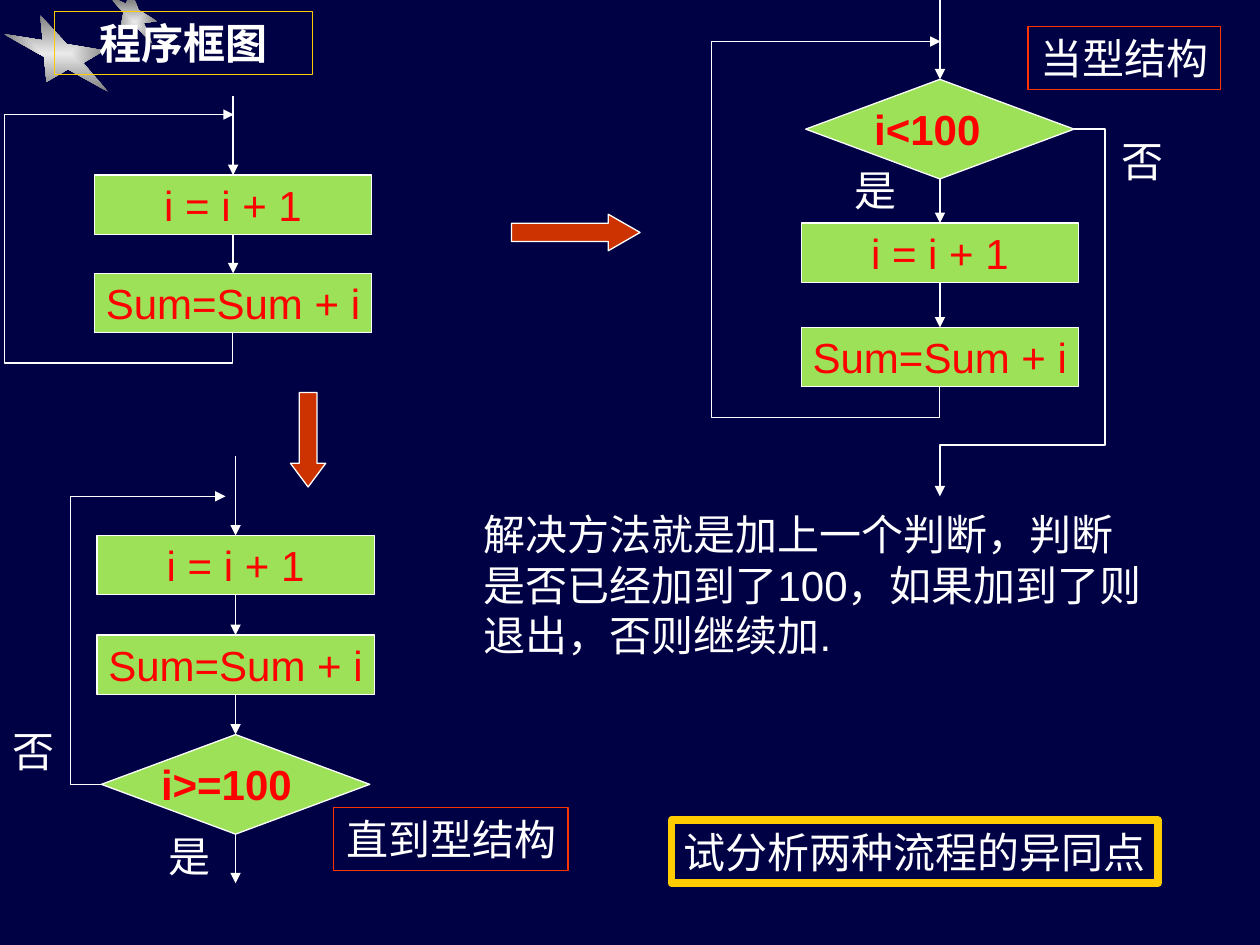
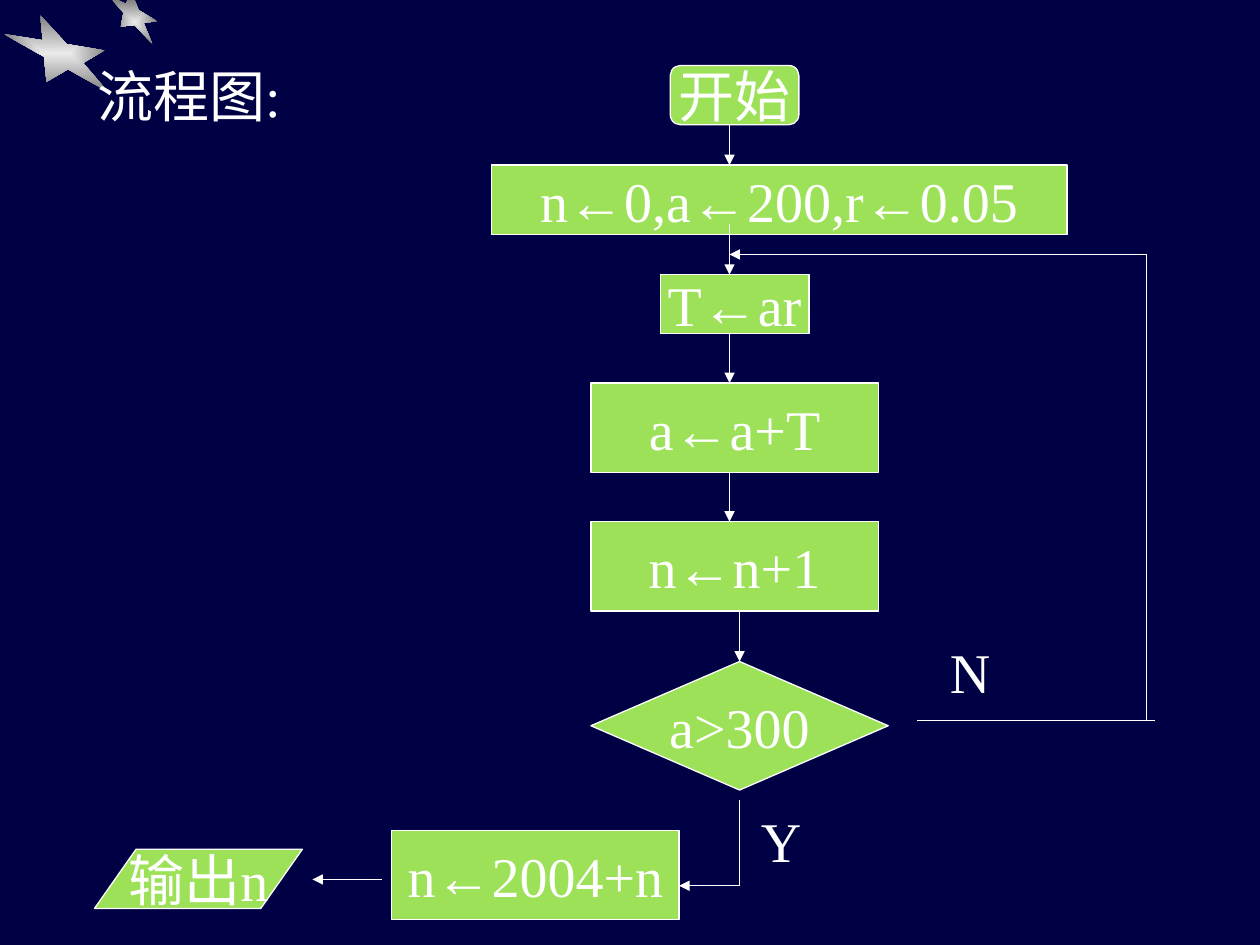
from itertools import pairwise

from lxml.etree import SubElement
from pptx import Presentation
from pptx.dml.color import RGBColor
from pptx.enum.shapes import MSO_CONNECTOR, MSO_SHAPE
from pptx.enum.text import MSO_ANCHOR, MSO_AUTO_SIZE, PP_ALIGN
from pptx.oxml import parse_xml
from pptx.oxml.ns import nsdecls, qn
from pptx.util import Inches, Pt

NAVY = RGBColor(0x00, 0x00, 0x44)
WHITE = RGBColor(0xFF, 0xFF, 0xFF)
GREEN = RGBColor(0x9C, 0xE1, 0x57)
RED = RGBColor(0xFF, 0x00, 0x00)
ORANGE = RGBColor(0xFF, 0x33, 0x00)
RUST = RGBColor(0xCC, 0x33, 0x00)
GOLD = RGBColor(0xFF, 0xCC, 0x00)
STAR_LIGHT = RGBColor(0xEA, 0xEA, 0xEA)
STAR_DARK = RGBColor(0x80, 0x80, 0x80)

SANS, SERIF = "Arial", "Times New Roman"
THIN = 0.75
STEP_W, STEP_H = 2.2, 0.47
DECISION_W, DECISION_H = 2.13, 0.79
LABEL_H = 0.5
RETURN_GAP, RETURN_DEPTH = 0.01, 1.84

STARS = (
    ((1.21, 0.35), (1.07, 0.2), (0.96, 0.21), (0.98, 0.1), (0.89, 0), (0.94, 0),
     (1, 0.03), (1.01, 0), (1.07, 0), (1.1, 0.08), (1.25, 0.17), (1.14, 0.18)),
    ((0.86, 0.73), (0.54, 0.55), (0.37, 0.65), (0.35, 0.45), (0.03, 0.27),
     (0.34, 0.32), (0.32, 0.12), (0.53, 0.35), (0.83, 0.4), (0.66, 0.5)),
)


def inches(values):
    return [Inches(v) for v in values]


def write(sp, text, size=24, font=SANS, color=WHITE, bold=False, align=PP_ALIGN.LEFT):
    p = sp.text_frame.paragraphs[0]
    p.text = text
    p.alignment = align
    for r in p.runs:
        r.font.size, r.font.name, r.font.bold = Pt(size), font, bold
        r.font.color.rgb = color


def outline(sp, color, width=THIN):
    sp.line.color.rgb = color
    sp.line.width = Pt(width)


def add_shape(s, kind, box, fill=GREEN):
    sp = s.shapes.add_shape(kind, *inches(box))
    sp.shadow.inherit = False
    sp.fill.solid()
    sp.fill.fore_color.rgb = fill
    outline(sp, WHITE)
    return sp


def add_box(s, kind, box, text, **style):
    sp = add_shape(s, kind, box)
    sp.text_frame.word_wrap = False
    sp.text_frame.vertical_anchor = MSO_ANCHOR.MIDDLE
    write(sp, text, align=PP_ALIGN.CENTER, **style)


def add_label(s, box, text, wrap=False, **style):
    sp = s.shapes.add_textbox(*inches(box))
    tf = sp.text_frame
    tf.word_wrap = wrap
    tf.auto_size = MSO_AUTO_SIZE.SHAPE_TO_FIT_TEXT if wrap else MSO_AUTO_SIZE.NONE
    if not wrap:
        tf.margin_right = 0
    write(sp, text, **style)
    return sp


def add_line(s, kind, start, end, arrow):
    line = s.shapes.add_connector(kind, *inches(start + end))
    outline(line, WHITE)
    SubElement(line._element.spPr, qn("a:effectLst"))
    if arrow:
        SubElement(line.line._get_or_add_ln(), qn("a:tailEnd"), type="triangle")
    return line


def add_route(s, *points, arrow=True):
    """Join the points with straight lines; the last one carries the arrowhead."""
    for start, end in pairwise(points):
        add_line(s, MSO_CONNECTOR.STRAIGHT, start, end, arrow and end is points[-1])


def add_elbow(s, start, end, *bends, rotation=0):
    """Add a bent arrow; bends are shares of its width and height in turn."""
    line = add_line(s, MSO_CONNECTOR.ELBOW, start, end, True)
    spPr = line._element.spPr
    spPr.find(qn("a:xfrm")).set("rot", str(rotation * 60000))
    geometry = spPr.find(qn("a:prstGeom"))
    geometry.set("prst", f"bentConnector{len(bends) + 2}")
    guides = geometry.find(qn("a:avLst"))
    for number, bend in enumerate(bends, 1):
        SubElement(guides, qn("a:gd"), name=f"adj{number}",
                   fmla=f"val {round(bend * 100000)}")


def add_return(s, cx, bottom, top, drop, rise):
    """Lead an arrow from bottom around the left side back to top."""
    half, middle = (bottom - top) / 2, (bottom + top) / 2
    add_elbow(s, (cx + half, middle + RETURN_GAP / 2),
              (cx - half, middle - RETURN_GAP / 2),
              drop, -RETURN_DEPTH / RETURN_GAP, rise, rotation=90)


def add_star(s, points):
    start, *others = [inches(pt) for pt in points]
    builder = s.shapes.build_freeform(*start)
    builder.add_line_segments(others, close=True)
    sp = builder.convert_to_shape()
    sp.shadow.inherit = False
    sp.line.fill.background()
    sp.fill.background()
    no_fill = sp._element.spPr.find(qn("a:noFill"))
    sp._element.spPr.replace(no_fill, parse_xml(
        f'<a:gradFill {nsdecls("a")}><a:gsLst>'
        f'<a:gs pos="0"><a:srgbClr val="{STAR_LIGHT}"/></a:gs>'
        f'<a:gs pos="100000"><a:srgbClr val="{STAR_DARK}"/></a:gs></a:gsLst>'
        '<a:path path="rect"><a:fillToRect l="50000" t="50000" r="50000" b="50000"/>'
        '</a:path></a:gradFill>'))


def add_slide(prs, title, box, **style):
    """Start a slide with the corner stars and its title in front of them."""
    s = prs.slides.add_slide(prs.slide_layouts[5])
    for points in STARS:
        add_star(s, points)
    sp = s.shapes.title
    s.shapes._spTree.append(sp._element)
    sp.left, sp.top, sp.width, sp.height = inches(box)
    sp.text_frame.vertical_anchor = MSO_ANCHOR.TOP
    sp.text_frame.auto_size = MSO_AUTO_SIZE.NONE
    write(sp, title, font=SERIF, **style)
    return s


def add_steps(s, cx, first, second):
    """Draw the two calculation steps, centred on cx, and the arrow between them."""
    for top, text in ((first, "i = i + 1"), (second, "Sum=Sum + i")):
        add_box(s, MSO_SHAPE.FLOWCHART_PROCESS,
                (cx - STEP_W / 2, top, STEP_W, STEP_H), text, color=RED)
    add_route(s, (cx, first + STEP_H), (cx, second))


def add_decision(s, cx, top, text, text_left, text_width):
    add_shape(s, MSO_SHAPE.FLOWCHART_DECISION,
              (cx - DECISION_W / 2, top, DECISION_W, DECISION_H))
    add_label(s, (text_left, top + 0.14, text_width, LABEL_H), text, color=RED, bold=True)


def add_endless_loop(s, cx, top):
    first, second = top + 0.63, top + 1.41
    add_steps(s, cx, first, second)
    add_route(s, (cx, top), (cx, first))
    add_return(s, cx, second + STEP_H, top + 0.15, -0.14, 1)


def add_until_loop(s, cx, top):
    first, second, test = top + 0.63, top + 1.42, top + 2.21
    middle, end = test + DECISION_H / 2, test + DECISION_H
    add_steps(s, cx, first, second)
    add_decision(s, cx, test, "i>=100", cx - 0.69, 1.24)
    add_route(s, (cx, top), (cx, first))
    add_route(s, (cx, second + STEP_H), (cx, test))
    add_route(s, (cx, end), (cx, end + 0.39))
    add_elbow(s, (cx - DECISION_W / 2, middle), (cx - 0.08, top + 0.32), -0.25, 1)
    add_label(s, (cx - 0.63, end - 0.08, 0.53, LABEL_H), "是")
    add_label(s, (cx - 1.87, test - 0.12, 0.53, LABEL_H), "否")


def add_while_loop(s, cx, top):
    test, first, second = top + 0.63, top + 1.77, top + 2.6
    middle, end = test + DECISION_H / 2, second + STEP_H
    add_steps(s, cx, first, second)
    add_decision(s, cx, test, "i<100", cx - 0.62, 1.04)
    add_route(s, (cx, top), (cx, test))
    add_route(s, (cx, test + DECISION_H), (cx, first))
    add_return(s, cx, end, top + 0.33, -0.09, 1)
    add_elbow(s, (cx + DECISION_W / 2, middle), (cx, end + 0.87), -0.23, 0.86)
    add_label(s, (cx + 1.34, middle, 0.53, LABEL_H), "否")
    add_label(s, (cx - 0.78, top + 1.26, 0.53, LABEL_H), "是")


def add_block_arrow(s, box, head, rotation=0):
    sp = add_shape(s, MSO_SHAPE.RIGHT_ARROW, box, RUST)
    sp.adjustments[1] = head
    sp.rotation = rotation


def build_loop_slide(prs):
    box = (0.43, 0.09, 2.05, LABEL_H)
    s = add_slide(prs, "程序框图", box, bold=True, align=PP_ALIGN.CENTER)
    outline(s.shapes.title, GOLD)
    add_endless_loop(s, 1.85, 0.76)
    add_until_loop(s, 1.87, 3.62)
    add_while_loop(s, 7.46, 0)
    add_block_arrow(s, (4.06, 1.7, 1.02, 0.29), 0.87)
    add_block_arrow(s, (2.07, 3.35, 0.75, 0.28), 0.67, 90)
    add_label(s, (3.74, 3.99, 5.5, 1.3),
              "解决方法就是加上一个判断，判断是否已经加到了100，如果加到了则退出，否则继续加.",
              wrap=True)
    for left, top, width, text, color, weight in (
            (5.33, 6.51, 3.86, "试分析两种流程的异同点", GOLD, 4.5),
            (2.65, 6.41, 1.86, "直到型结构", ORANGE, THIN),
            (8.16, 0.21, 1.53, "当型结构", ORANGE, THIN)):
        outline(add_label(s, (left, top, width, LABEL_H), text), color, weight)


def add_growth_flow(s, cx, top):
    """Draw the chart from start to output, with cx as the axis of its upper arrows."""
    style = dict(size=32, font=SERIF)
    axis = cx + 0.08
    for kind, left, y, width, height, text in (
            (MSO_SHAPE.FLOWCHART_ALTERNATE_PROCESS, -0.47, 0, 1.02, 0.47, "开始"),
            (MSO_SHAPE.RECTANGLE, -1.89, 0.79, 4.57, 0.55, "n←0,a←200,r←0.05"),
            (MSO_SHAPE.RECTANGLE, -0.55, 1.66, 1.18, 0.47, "T←ar"),
            (MSO_SHAPE.RECTANGLE, -1.1, 2.52, 2.28, 0.71, "a←a+T"),
            (MSO_SHAPE.RECTANGLE, -1.1, 3.62, 2.28, 0.71, "n←n+1"),
            (MSO_SHAPE.FLOWCHART_DECISION, -1.1, 4.73, 2.36, 1.02, "a>300"),
            (MSO_SHAPE.RECTANGLE, -2.68, 6.07, 2.28, 0.71, "n←2004+n"),
            (MSO_SHAPE.FLOWCHART_DATA, -5.04, 6.22, 1.65, 0.47, "输出n")):
        add_box(s, kind, (cx + left, top + y, width, height), text, **style)
    for x, start, end in ((cx, 0.47, 0.79), (cx, 1.26, 1.66), (cx, 2.13, 2.52),
                          (cx, 3.23, 3.62), (axis, 4.33, 4.73)):
        add_route(s, (x, top + start), (x, top + end))

    loop_x, loop_top, loop_end = cx + 3.31, top + 1.5, top + 5.2
    add_route(s, (cx + 1.49, loop_end), (cx + 3.38, loop_end), arrow=False)
    add_route(s, (loop_x, loop_end), (loop_x, loop_top), (cx, loop_top))
    add_route(s, (axis, top + 5.83), (axis, top + 6.51), (cx - 0.4, top + 6.51))
    add_route(s, (cx - 2.76, top + 6.46), (cx - 3.31, top + 6.46))
    add_label(s, (cx + 0.15, top + 5.83, 0.55, 0.64), "Y", wrap=True, **style)
    add_label(s, (cx + 1.65, top + 4.49, 0.63, 0.64), "N", wrap=True, **style)


def build_flowchart_slide(prs):
    s = add_slide(prs, "流程图:", (0.67, 0.44, 2.05, 0.64), size=32)
    add_growth_flow(s, 5.79, 0.52)


def main():
    prs = Presentation()
    prs.slide_width, prs.slide_height = Inches(10), Inches(7.5)
    background = prs.slide_master.background.fill
    background.solid()
    background.fore_color.rgb = NAVY
    build_loop_slide(prs)
    build_flowchart_slide(prs)
    prs.save("out.pptx")


if __name__ == "__main__":
    main()
